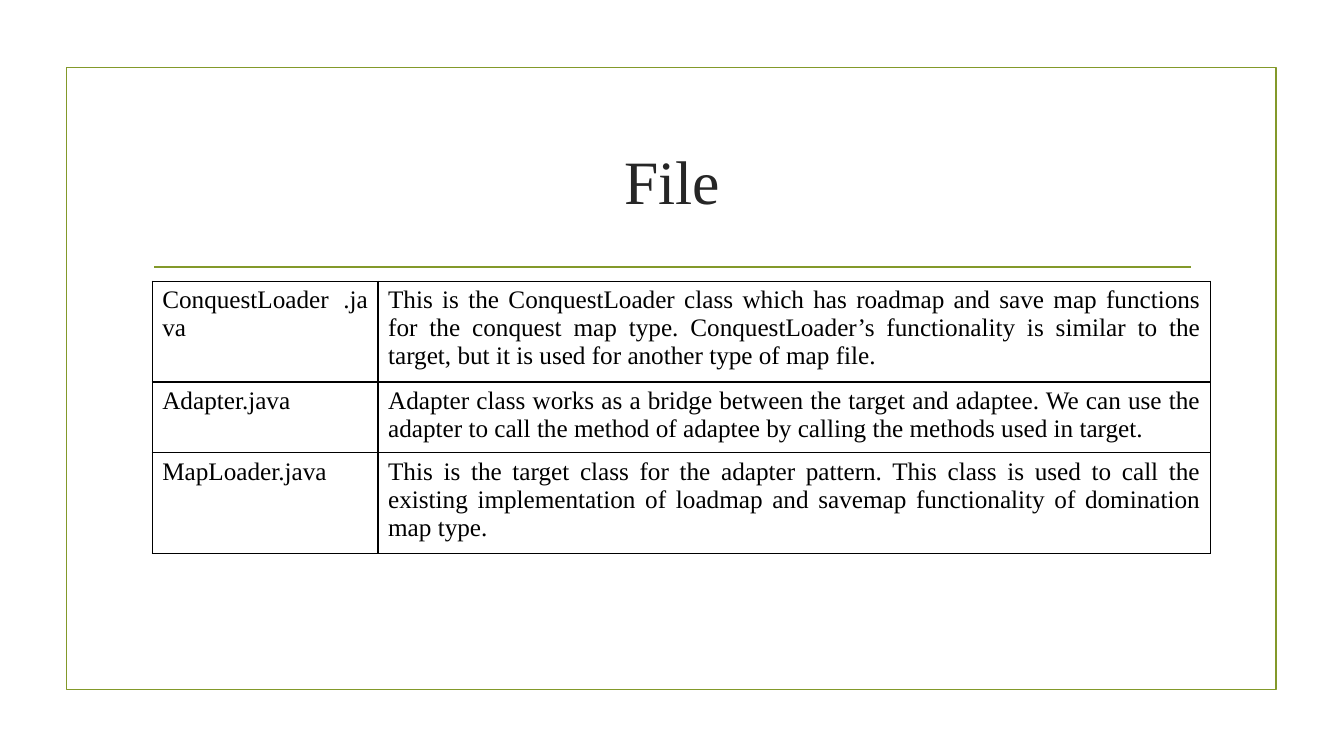
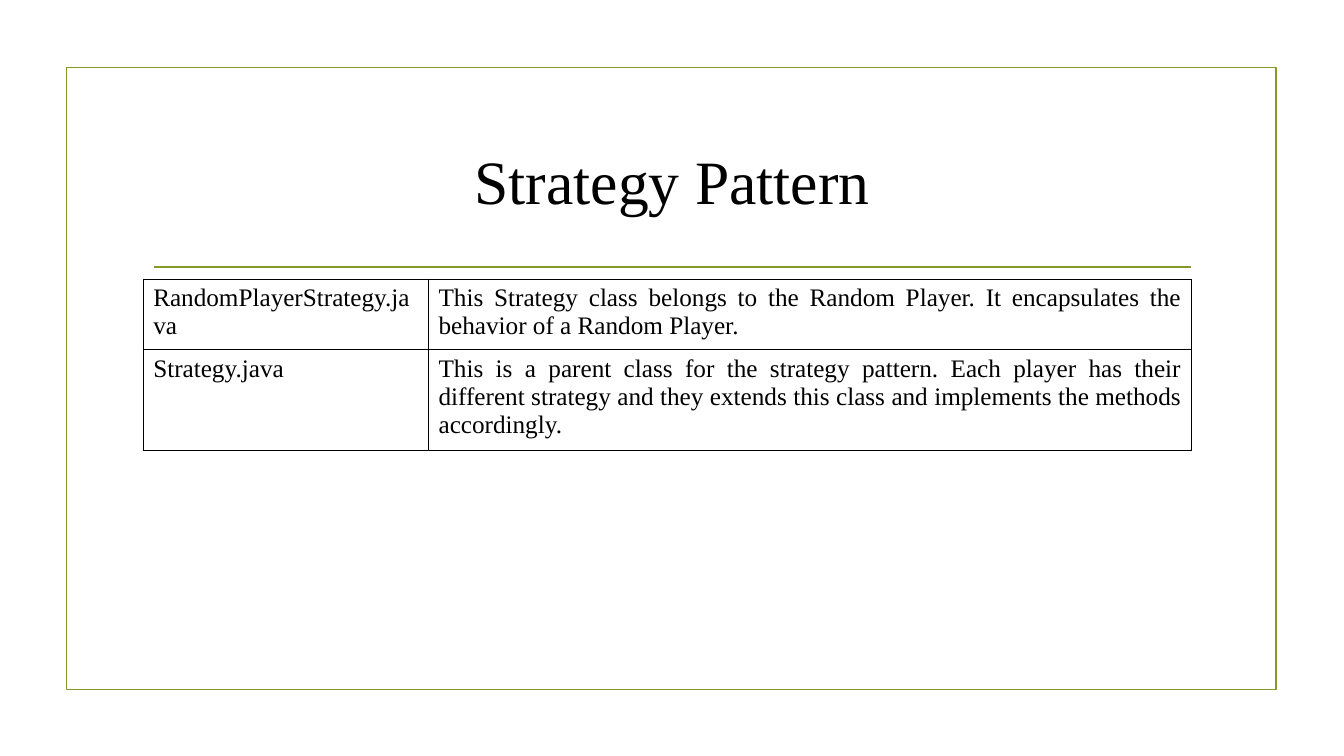
from dataclasses import dataclass

from lxml.etree import SubElement
from pptx import Presentation
from pptx.dml.color import RGBColor
from pptx.enum.shapes import MSO_CONNECTOR, MSO_SHAPE
from pptx.enum.text import MSO_ANCHOR, PP_ALIGN
from pptx.oxml.ns import qn
from pptx.util import Emu, Pt


@dataclass(frozen=True)
class Theme:
    font: str = "Times New Roman"
    accent: str = "83992A"
    ink: str = "000000"
    soft_ink: str = "262626"
    title_size: int = 44
    body_size: int = 18
    rule_width: float = 1.25
    border_width: int = 1


theme = Theme()


def px(length):
    return Emu(length * 9144)


def write(text_frame, text, size, color, alignment):
    paragraph = text_frame.paragraphs[0]
    paragraph.alignment = alignment
    run = paragraph.add_run()
    run.text = text
    run.font.name = theme.font
    run.font.size = Pt(size)
    run.font.color.rgb = RGBColor.from_string(color)


pages = [
    {
        "title": "File",
        "title_color": theme.soft_ink,
        "table_at": (151, 279),
        "columns": (224, 826),
        "row_heights": (93, 65, 93),
        "rows": [
            (
                "ConquestLoader .java",
                "This is the ConquestLoader class which has roadmap and save map functions "
                "for the conquest map type. ConquestLoader’s functionality is similar to the "
                "target, but it is used for another type of map file.",
            ),
            (
                "Adapter.java",
                "Adapter class works as a bridge between the target and adaptee. We can use the "
                "adapter to call the method of adaptee by calling the methods used in target.",
            ),
            (
                "MapLoader.java",
                "This is the target class for the adapter pattern. This class is used to call the "
                "existing implementation of loadmap and savemap functionality of domination "
                "map type.",
            ),
        ],
    },
    {
        "title": "Strategy Pattern",
        "title_color": theme.ink,
        "table_at": (142, 277),
        "columns": (283, 757),
        "row_heights": (66, 93),
        "rows": [
            (
                "RandomPlayerStrategy.java",
                "This Strategy class belongs to the Random Player. It encapsulates the "
                "behavior of a Random Player.",
            ),
            (
                "Strategy.java",
                "This is a parent class for the strategy pattern. Each player has their "
                "different strategy and they extends this class and implements the methods "
                "accordingly.",
            ),
        ],
    },
]

presentation = Presentation()
presentation.slide_width = px(1333)
presentation.slide_height = px(750)
blank_layout = presentation.slide_layouts[6]

for page in pages:
    slide = presentation.slides.add_slide(blank_layout)

    frame = slide.shapes.add_shape(MSO_SHAPE.RECTANGLE, px(66), px(67), px(1200), px(617))
    frame.shadow.inherit = False
    frame.fill.background()

    divider = slide.shapes.add_connector(
        MSO_CONNECTOR.STRAIGHT, px(153), px(265), px(1181), px(265)
    )
    SubElement(divider.line._get_or_add_ln().getparent(), qn("a:effectLst"))

    for outlined in (frame, divider):
        outlined.line.color.rgb = RGBColor.from_string(theme.accent)
        outlined.line.width = Pt(theme.rule_width)

    title = slide.shapes.add_textbox(px(142), px(107), px(1050), px(143))
    title.text_frame.word_wrap = True
    title.text_frame.vertical_anchor = MSO_ANCHOR.MIDDLE
    write(title.text_frame, page["title"], theme.title_size, page["title_color"], PP_ALIGN.CENTER)

    left, top = page["table_at"]
    table = slide.shapes.add_table(
        len(page["rows"]), len(page["columns"]),
        px(left), px(top), px(sum(page["columns"])), px(sum(page["row_heights"])),
    ).table
    table.first_row = False
    table.horz_banding = False
    for column, width in zip(table.columns, page["columns"]):
        column.width = px(width)

    for row, height, texts in zip(table.rows, page["row_heights"], page["rows"]):
        row.height = px(height)
        for cell, text in zip(row.cells, texts):
            write(cell.text_frame, text, theme.body_size, theme.ink, PP_ALIGN.JUSTIFY)
            properties = cell._tc.get_or_add_tcPr()
            for side in ("lnL", "lnR", "lnT", "lnB"):
                border = SubElement(properties, qn(f"a:{side}"), w=str(Pt(theme.border_width)))
                border_fill = SubElement(border, qn("a:solidFill"))
                SubElement(border_fill, qn("a:srgbClr"), val=theme.ink)
            cell.fill.background()

presentation.save("out.pptx")
